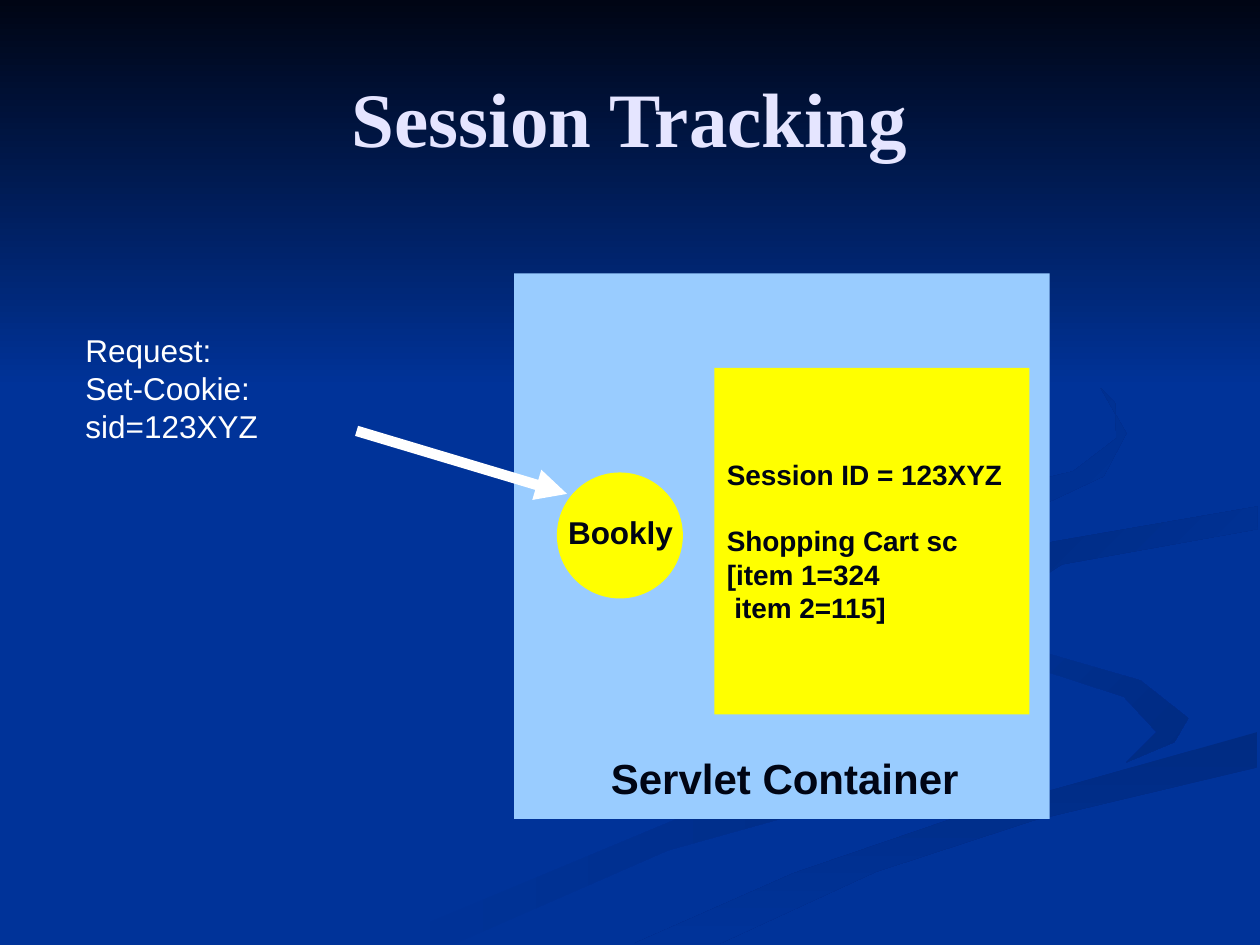
from lxml import etree
from pptx import Presentation
from pptx import util as u
from pptx.dml.color import RGBColor
from pptx.enum import shapes, text
from pptx.oxml.ns import qn

NAVY = RGBColor(0x00, 0x33, 0x99)
SHADE = RGBColor(0x00, 0x2B, 0x82)
INK = RGBColor(0x00, 0x05, 0x14)
LAVENDER = RGBColor(0xE5, 0xE5, 0xFF)
SKY = RGBColor(0x99, 0xCC, 0xFF)
YELLOW = RGBColor(0xFF, 0xFF, 0x00)
WHITE = RGBColor(0xFF, 0xFF, 0xFF)

# Each ribbon: outline in inches, first and last colour, clockwise angle
RIBBONS = [
    ([(7.86, 5.66), (7.4, 5.98), (5.4, 6.49), (3, 7.49), (3.61, 7.49),
      (5.3, 6.75), (7.8, 6.05), (8, 5.81)], NAVY, SHADE, 0),
    ([(7.24, 4.64), (7.6, 4.98), (9.05, 5.4), (9.43, 5.7), (9.32, 5.89),
      (8.94, 6.05), (9.18, 5.81), (8.92, 5.53), (7.66, 5.12)],
     NAVY, SHADE, 45),
    ([(5.03, 7.49), (5.71, 7.49), (6.95, 6.92), (8.21, 6.51), (9.98, 6.09),
      (9.98, 5.81), (7.64, 6.47), (6.3, 6.93)], SHADE, NAVY, 90),
    ([(7.81, 4.6), (8.26, 4.96), (8.05, 4.72), (8.43, 4.48), (9.98, 4.2),
      (9.98, 4.02), (8.35, 4.3)], SHADE, NAVY, 45),
    ([(7.62, 2.33), (8.46, 2.79), (8.85, 3.2), (8.86, 3.48), (8.52, 3.74),
      (5.97, 4.37), (5.77, 4.62), (6.22, 5), (6.24, 4.44), (8.25, 4.02),
      (8.76, 3.78), (8.94, 3.44), (8.64, 2.91)], SHADE, NAVY, 45),
]


def add_ribbon(slide, outline, first, last, angle):
    points = [(u.Inches(x), u.Inches(y)) for x, y in outline]
    builder = slide.shapes.build_freeform(*points[0], scale=1)
    builder.add_line_segments(points[1:], close=True)
    ribbon = builder.convert_to_shape()
    ribbon.shadow.inherit = False
    ribbon.line.fill.background()
    shade(ribbon.fill, first, last, angle)


def shade(fill, first, last, angle):
    fill.gradient()
    fill.gradient_angle = -angle % 360  # public angles run counter-clockwise
    for stop, color in zip(fill.gradient_stops, (first, last)):
        stop.color.rgb = color


def add_block(slide, kind, left, top, width, height, color):
    block = slide.shapes.add_shape(
        kind, *(u.Inches(n) for n in (left, top, width, height)))
    block.shadow.inherit = False
    block.fill.solid()
    block.fill.fore_color.rgb = color
    block.line.fill.background()
    return block


def write(frame, words, size, color, bold=True, font="Arial",
          align=text.PP_ALIGN.LEFT):
    frame.text = words
    for para in frame.paragraphs:
        para.alignment = align
        for span in para.runs:
            span.font.name = font
            span.font.size = u.Pt(size)
            span.font.bold = bold
            span.font.color.rgb = color


def add_label(slide, left, top, width, height, words, size, color, **style):
    box = slide.shapes.add_textbox(
        *(u.Inches(n) for n in (left, top, width, height)))
    box.text_frame.word_wrap = False
    write(box.text_frame, words, size, color, **style)


def add_arrow(slide, start, end, color, weight):
    arrow = slide.shapes.add_connector(
        shapes.MSO_CONNECTOR.STRAIGHT, *(u.Inches(n) for n in start + end))
    arrow.line.color.rgb = color
    arrow.line.width = u.Pt(weight)
    outline = arrow._element.spPr.find(qn("a:ln"))
    etree.SubElement(outline, qn("a:tailEnd"), type="triangle")
    etree.SubElement(arrow._element.spPr, qn("a:effectLst"))


def add_title(slide, words):
    title = slide.shapes.title
    title.left, title.top, title.width, title.height = (
        u.Inches(n) for n in (0.5, 0.3, 9, 1.25))
    title.text_frame.vertical_anchor = text.MSO_ANCHOR.MIDDLE
    write(title.text_frame, words, 44, LAVENDER, font="Times New Roman",
          align=text.PP_ALIGN.CENTER)
    title._element.getparent().append(title._element)  # in front of the banner


def add_session(slide):
    session = add_block(slide, shapes.MSO_SHAPE.RECTANGLE,
                        5.67, 2.92, 2.5, 2.75, YELLOW)
    frame = session.text_frame
    frame.vertical_anchor = text.MSO_ANCHOR.MIDDLE
    write(frame, "Session ID = 123XYZ\nShopping Cart sc\n[item 1=324\nitem 2=115]",
          16, INK)
    frame.paragraphs[1].space_before = u.Pt(18.4)
    frame.paragraphs[3]._p.get_or_add_pPr().set("marL", str(u.Inches(0.06)))


def main():
    deck = Presentation()
    deck.slide_width, deck.slide_height = u.Inches(10), u.Inches(7.5)
    slide = deck.slides.add_slide(deck.slide_layouts[5])
    slide.background.fill.solid()
    slide.background.fill.fore_color.rgb = NAVY
    for ribbon in RIBBONS:
        add_ribbon(slide, *ribbon)
    banner = add_block(slide, shapes.MSO_SHAPE.RECTANGLE, 0, 0, 10, 3.08, NAVY)
    shade(banner.fill, INK, NAVY, 90)
    add_title(slide, "Session Tracking")
    add_block(slide, shapes.MSO_SHAPE.RECTANGLE, 4.08, 2.17, 4.25, 4.33, SKY)
    add_block(slide, shapes.MSO_SHAPE.OVAL, 4.42, 3.75, 1, 1, YELLOW)
    add_label(slide, 4.34, 4.02, 1.17, 0.4, "Bookly", 18, INK,
              align=text.PP_ALIGN.CENTER)
    add_label(slide, 4.75, 5.92, 2.96, 0.5, "Servlet Container", 24, INK)
    add_session(slide)
    add_label(slide, 0.58, 2.58, 2.94, 0.7, "Request:\nSet-Cookie: sid=123XYZ",
              18, WHITE, bold=False)
    add_arrow(slide, (2.83, 3.42), (4.5, 3.92), WHITE, 6)
    deck.save("out.pptx")


if __name__ == "__main__":
    main()
